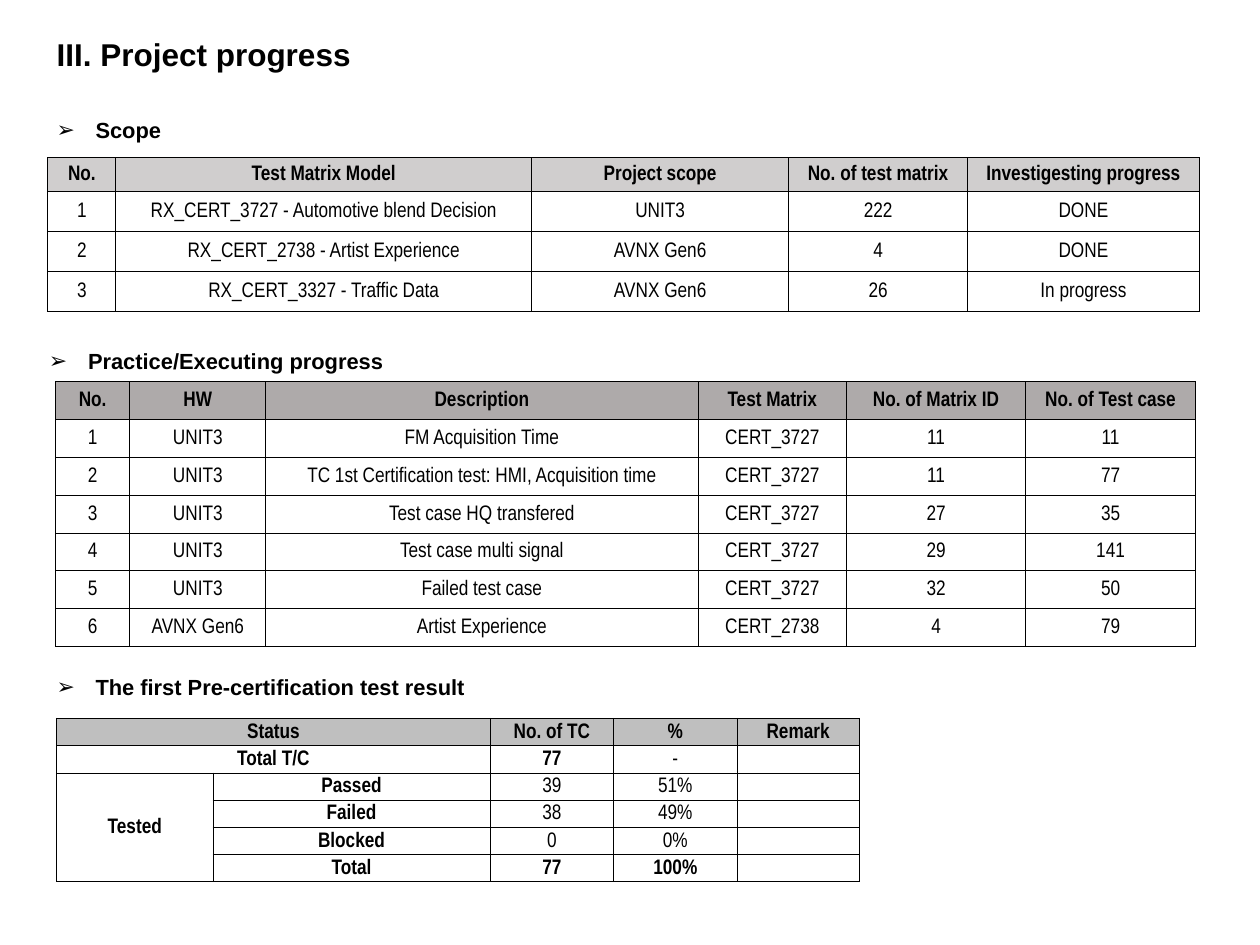
from lxml import etree
from pptx import Presentation
from pptx.dml.color import RGBColor
from pptx.enum import text
from pptx.oxml.ns import qn
from pptx.util import Inches, Pt

BLACK = "000000"

SCOPE = [
    ("No.", "Test Matrix Model", "Project scope", "No. of test matrix", "Investigesting progress"),
    ("1", "RX_CERT_3727 - Automotive blend Decision", "UNIT3", "222", "DONE"),
    ("2", "RX_CERT_2738 - Artist Experience", "AVNX Gen6", "4", "DONE"),
    ("3", "RX_CERT_3327 - Traffic Data", "AVNX Gen6", "26", "In progress"),
]
PRACTICE = [
    ("No.", "HW", "Description", "Test Matrix", "No. of Matrix ID", "No. of Test case"),
    ("1", "UNIT3", "FM Acquisition Time", "CERT_3727", "11", "11"),
    ("2", "UNIT3", "TC 1st Certification test: HMI, Acquisition time", "CERT_3727", "11", "77"),
    ("3", "UNIT3", "Test case HQ transfered", "CERT_3727", "27", "35"),
    ("4", "UNIT3", "Test case multi signal", "CERT_3727", "29", "141"),
    ("5", "UNIT3", "Failed test case", "CERT_3727", "32", "50"),
    ("6", "AVNX Gen6", "Artist Experience", "CERT_2738", "4", "79"),
]
RESULT = [
    ("Status", "", "No. of TC", "%", "Remark"),
    ("Total T/C", "", "77", "-", ""),
    ("Tested", "Passed", "39", "51%", ""),
    ("", "Failed", "38", "49%", ""),
    ("", "Blocked", "0", "0%", ""),
    ("", "Total", "77", "100%", ""),
]
RESULT_BOLD = {(1, 2), (5, 2), (5, 3)} | {(row, col) for row in range(1, 6) for col in (0, 1)}


def color(value):
    """Return the colour of a hex string."""
    return RGBColor.from_string(value)


def style_font(font, name, size, bold):
    """Set typeface, size and weight of black text."""
    font.name, font.size, font.bold = name, Pt(size), bold
    font.color.rgb = color(BLACK)


def add_title(slide, words):
    """Place and format the title placeholder."""
    title = slide.shapes.title
    title.left, title.top = Inches(0.35), Inches(0.08)
    title.width, title.height = Inches(9.35), Inches(0.73)
    frame = title.text_frame
    frame.text = words
    frame.vertical_anchor = text.MSO_ANCHOR.MIDDLE
    para = frame.paragraphs[0]
    para.alignment = text.PP_ALIGN.LEFT
    para.line_spacing = 0.9
    style_font(para.font, "Arial", 18, True)


def add_heading(slide, words, left, top, width):
    """Add a section heading with an arrow bullet."""
    box = slide.shapes.add_textbox(Inches(left), Inches(top), Inches(width), Inches(0.31))
    frame = box.text_frame
    frame.word_wrap = False
    frame.auto_size = text.MSO_AUTO_SIZE.SHAPE_TO_FIT_TEXT
    para = frame.paragraphs[0]
    para.text = words
    style_font(para.font, "Arial", 12.5, True)
    properties = para._p.get_or_add_pPr()
    properties.set("marL", str(Inches(0.31)))
    properties.set("indent", str(-Inches(0.31)))
    bullet_font = etree.Element(qn("a:buFont"), typeface="Wingdings")
    bullet = etree.Element(qn("a:buChar"), char="\u27a2")
    bullet_font.set("typeface", "Arial")
    properties.insert(0, bullet_font)
    properties.insert(1, bullet)


def add_borders(cell):
    """Draw a thin black line on each side of a cell."""
    properties = cell._tc.get_or_add_tcPr()
    for side in ("a:lnL", "a:lnR", "a:lnT", "a:lnB"):
        line = etree.SubElement(properties, qn(side), w=str(Pt(0.5)))
        fill = etree.SubElement(line, qn("a:solidFill"))
        etree.SubElement(fill, qn("a:srgbClr"), val=BLACK)


def format_cell(cell, words, bold, fill):
    """Write centred text in a bordered cell."""
    add_borders(cell)
    if fill:
        cell.fill.solid()
        cell.fill.fore_color.rgb = color(fill)
    else:
        cell.fill.background()
    cell.margin_left = cell.margin_right = cell.margin_top = Inches(0.01)
    cell.margin_bottom = 0
    cell.vertical_anchor = text.MSO_ANCHOR.MIDDLE
    para = cell.text_frame.paragraphs[0]
    para.text = words
    para.alignment = text.PP_ALIGN.CENTER
    style_font(para.font, "Arial Narrow", 12, bold)


def add_grid(slide, rows, place, widths, header_height, header_fill, bold_cells=()):
    """Add a table with a shaded header and equal body rows."""
    left, top, height = place
    frame = slide.shapes.add_table(len(rows), len(widths), Inches(left), Inches(top),
                                   Inches(sum(widths)), Inches(height))
    table = frame.table
    table.first_row = table.horz_banding = False
    for column, width in zip(table.columns, widths):
        column.width = Inches(width)
    body_height = (height - header_height) / (len(rows) - 1)
    for r, row in enumerate(rows):
        table.rows[r].height = Inches(body_height if r else header_height)
        for c, words in enumerate(row):
            bold = r == 0 or (r, c) in bold_cells
            format_cell(table.cell(r, c), words, bold, None if r else header_fill)
    return table


def main():
    """Build the project progress slide."""
    deck = Presentation()
    deck.slide_width, deck.slide_height = Inches(10), Inches(7.5)
    slide = deck.slides.add_slide(deck.slide_layouts[5])
    add_title(slide, "III. Project progress")

    add_heading(slide, "Scope", 0.35, 0.88, 1.05)
    add_grid(slide, SCOPE, (0.38, 1.25, 1.22), (0.54, 3.3, 2.04, 1.42, 1.84), 0.27, "D0CECE")

    add_heading(slide, "Practice/Executing progress", 0.29, 2.71, 2.89)
    add_grid(slide, PRACTICE, (0.44, 3.03, 2.1), (0.59, 1.08, 3.43, 1.18, 1.42, 1.35),
             0.3, "AEAAAA")

    add_heading(slide, "The first Pre-certification test result", 0.35, 5.3, 3.49)
    result = add_grid(slide, RESULT, (0.45, 5.7, 1.3), (1.24, 2.2, 0.98, 0.98, 0.97),
                      0.22, "BFBFBF", RESULT_BOLD)
    for first, last in (((0, 0), (0, 1)), ((1, 0), (1, 1)), ((2, 0), (5, 0))):
        result.cell(*first).merge(result.cell(*last))

    deck.save("out.pptx")


main()
